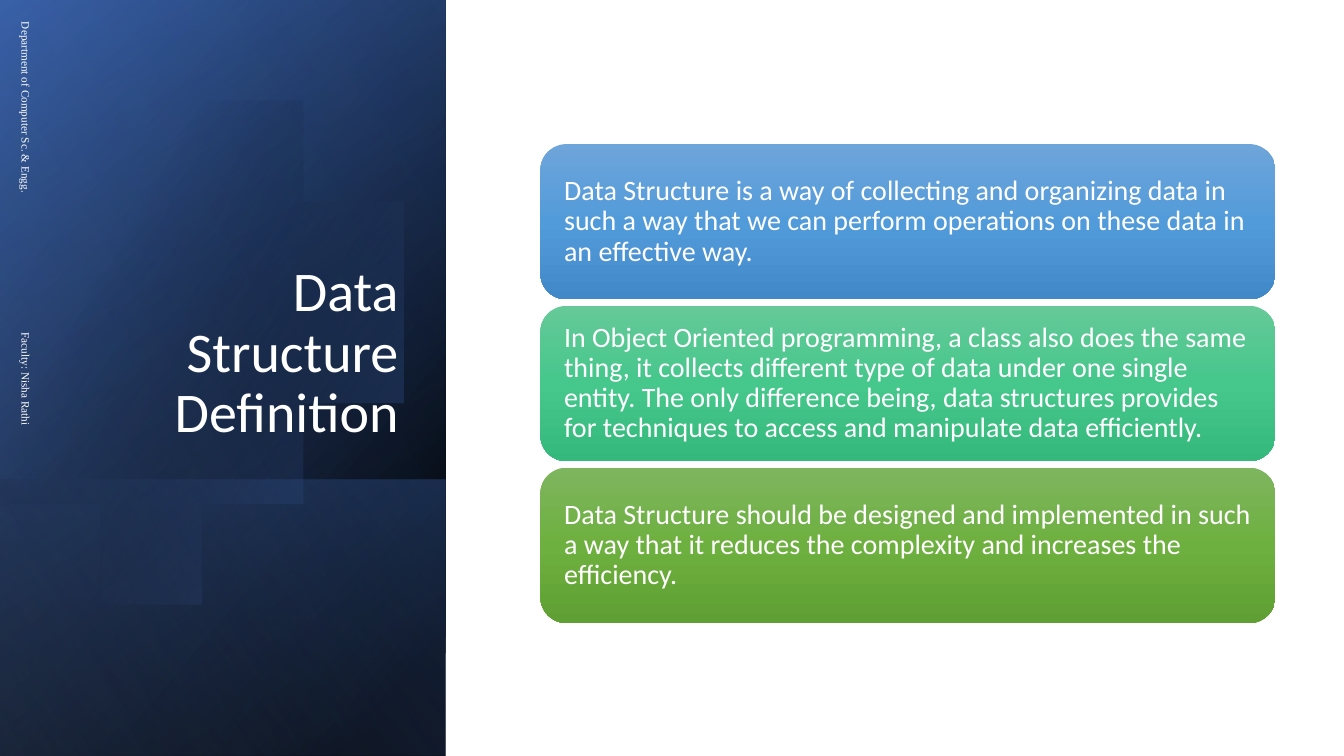
"""Build the slide that defines data structures beside a dark gradient panel."""
from math import acos, cos, pi, sin
from lxml.etree import SubElement
from pptx import Presentation
from pptx.enum.shapes import MSO_SHAPE as Preset
from pptx.enum.text import MSO_ANCHOR as Anchor, PP_ALIGN as Align
from pptx.dml.color import RGBColor
from pptx.oxml import parse_xml
from pptx.oxml.ns import nsdecls, qn
from pptx.util import Inches, Pt

TITLE = "Data Structure Definition"
DEPARTMENT, FACULTY = "Department of Computer Sc. & Engg.", "Faculty: Nisha Rathi"
CARDS = [
    ("Data Structure is a way of collecting and organizing data in such a way that "
     "we can perform operations on these data in an effective way.", "sky"),
    ("In Object Oriented programming, a class also does the same thing, it collects "
     "different type of data under one single entity. The only difference being, data "
     "structures provides for techniques to access and manipulate data efficiently.", "mint"),
    ("Data Structure should be designed and implemented in such a way that it reduces "
     "the complexity and increases the efficiency.", "leaf"),
]
COLORS = {"black": "000000", "navy": "2F5496", "blue": "4472C4", "pale": "8DA9DB",
          "white": "FFFFFF",
          "sky": ("6EA5DA", "529BDA", "4188C8"),
          "mint": ("65C998", "46C78C", "35B87B"),
          "leaf": ("7EB55F", "6EB03F", "5F9F34")}

WIDTH, HEIGHT = 13.33, 7.5
PANEL_W = 4.42
FOOT_TOP = 4.76
SHADES = [
    (0, 220, [(0, "black", 100), (8, "black", 100), (100, "navy", 100)]),
    (0, 240, [(0, "black", 0), (99, "blue", 46), (100, "blue", 46)]),
    (FOOT_TOP, 140, [(0, "blue", 29), (2, "blue", 29), (100, "black", 30)]),
]
GLOW = (30, [(0, "black", 0), (29, "black", 0), (100, "blue", 43)])
SHEEN = (0, 150, [(0, "black", 0), (99, "pale", 11), (100, "pale", 11)])
CIRCLE_X, CIRCLE_Y, RADIUS, ARC_STEPS = 1.44, 3.38, 2.29, 120
CARD_X, CARD_Y, CARD_W, CARD_H, CARD_PITCH = 5.36, 1.43, 7.29, 1.54, 1.605

deck = Presentation()
deck.slide_width, deck.slide_height = Inches(WIDTH), Inches(HEIGHT)
slide = deck.slides.add_slide(deck.slide_layouts[6])


def paint(shape, angle, stops):
    """Give a shape a linear gradient of (position, hex, opacity) stops."""
    shape.shadow.inherit = False
    shape.line.fill.background()
    marks = "".join(
        f'<a:gs pos="{pos * 1000}"><a:srgbClr val="{color}">'
        f'<a:alpha val="{opacity * 1000}"/></a:srgbClr></a:gs>'
        for pos, color, opacity in stops)
    gradient = parse_xml(f'<a:gradFill {nsdecls("a")} rotWithShape="1"><a:gsLst>{marks}</a:gsLst>'
                         f'<a:lin ang="{angle * 60000}" scaled="0"/></a:gradFill>')
    shape.fill.background()
    properties = shape._element.spPr
    properties.replace(properties.find(qn("a:noFill")), gradient)


def named(stops):
    """Turn colour names in the stops into hex strings."""
    return [(pos, COLORS[name], opacity) for pos, name, opacity in stops]


def shade_panel(top, angle, stops):
    """Lay a gradient over the panel from top to the foot of the slide."""
    layer = slide.shapes.add_shape(Preset.RECTANGLE, 0, Inches(top),
                                   Inches(PANEL_W), Inches(HEIGHT - top))
    paint(layer, angle, named(stops))


def write(shape, text, size, font="Calibri", anchor=Anchor.MIDDLE, align=Align.LEFT):
    """Write one white paragraph and return it."""
    frame = shape.text_frame
    frame.word_wrap, frame.vertical_anchor = True, anchor
    paragraph = frame.paragraphs[0]
    paragraph.text, paragraph.alignment, paragraph.line_spacing = text, align, 0.9
    paragraph.font.size, paragraph.font.name = Pt(size), font
    paragraph.font.color.rgb = RGBColor.from_string(COLORS["white"])
    return paragraph


for shade in SHADES:
    shade_panel(*shade)

reach = acos(-CIRCLE_X / RADIUS)
angles = [reach * (2 * step / ARC_STEPS - 1) for step in range(ARC_STEPS + 1)]
arc = [(max(0, CIRCLE_X + RADIUS * cos(a)), CIRCLE_Y + RADIUS * sin(a)) for a in angles]
outline = slide.shapes.build_freeform(*arc[0], scale=Inches(1))
outline.add_line_segments(arc[1:], close=True)
paint(outline.convert_to_shape(), GLOW[0], named(GLOW[1]))
shade_panel(*SHEEN)

heading = slide.shapes.add_textbox(Inches(0.64), Inches(1.84), Inches(3.41), Inches(2.62))
write(heading, TITLE, 40, anchor=Anchor.BOTTOM, align=Align.RIGHT)

credit = slide.shapes.add_textbox(Inches(-2), Inches(2.17), Inches(4.5), Inches(0.4))
credit.rotation = 90
credit_line = write(credit, f"{DEPARTMENT}\t{FACULTY}", 8, "Times New Roman")
credit_line.space_after = Pt(6)
tabs = parse_xml(f'<a:tabLst {nsdecls("a")}/>')
SubElement(tabs, qn("a:tab"), pos=str(Inches(3.08)), algn="l")
credit_line._p.pPr.find(qn("a:spcAft")).addnext(tabs)

for row, (text, tone) in enumerate(CARDS):
    card = slide.shapes.add_shape(Preset.ROUNDED_RECTANGLE, Inches(CARD_X),
                                  Inches(CARD_Y + row * CARD_PITCH), Inches(CARD_W), Inches(CARD_H))
    paint(card, 90, [(50 * i, color, 100) for i, color in enumerate(COLORS[tone])])
    write(card, text, 20)
    card.text_frame.margin_left = card.text_frame.margin_right = Inches(0.16)

deck.save("out.pptx")
